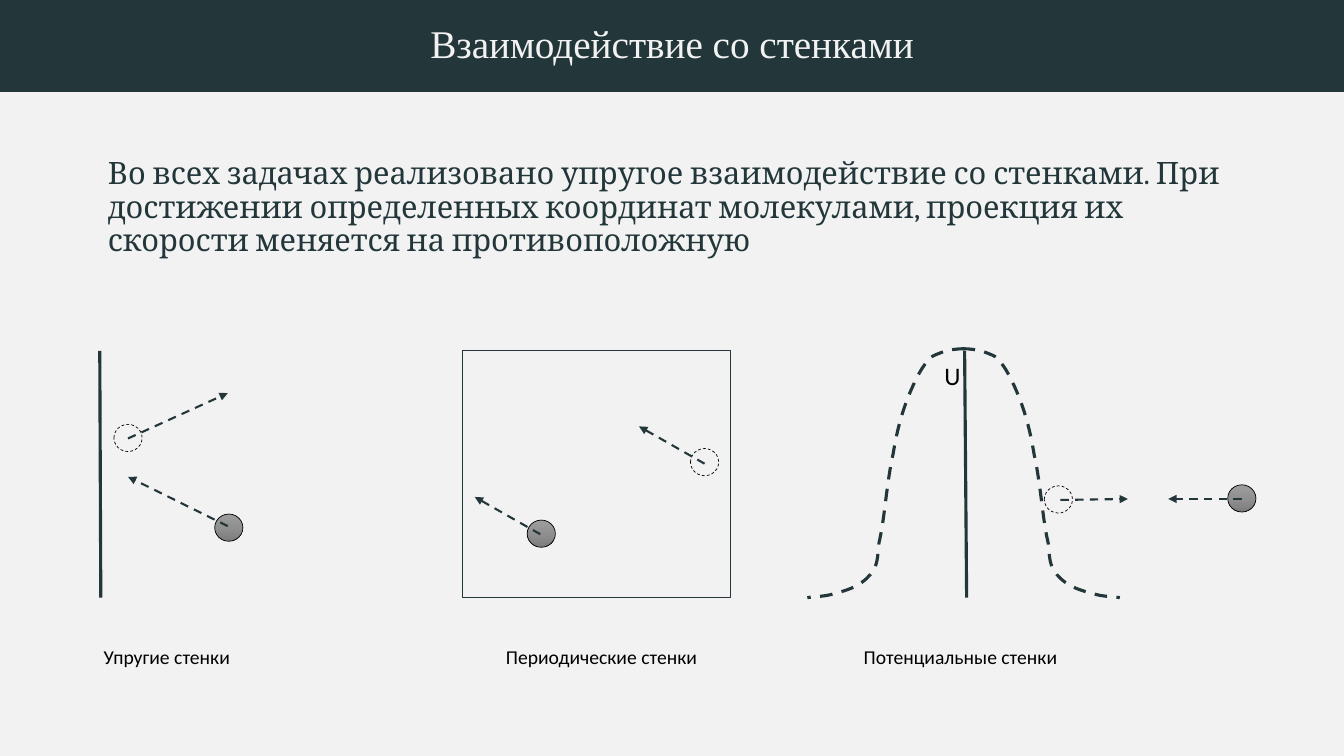
from copy import deepcopy
from dataclasses import dataclass

from lxml.etree import SubElement
from pptx import Presentation
from pptx.dml.color import RGBColor
from pptx.enum.dml import MSO_LINE_DASH_STYLE as Dash
from pptx.enum.shapes import MSO_CONNECTOR as Conn, MSO_SHAPE as Shape
from pptx.enum.text import MSO_ANCHOR as Anchor, MSO_AUTO_SIZE as AutoSize, PP_ALIGN as Align
from pptx.oxml.ns import qn
from pptx.util import Emu, Inches, Pt

PX = 9144  # EMU in one px, 100 px to the inch
SLIDE_W, SLIDE_H = Emu(12192000), Inches(7.5)


@dataclass(frozen=True)
class Theme:
    dark: str = "23373B"
    light: str = "F2F2F2"
    black: str = "000000"
    ball: tuple[str, str, str] = ("9D9D9D", "909090", "7C7C7C")
    title_font: str = "Times New Roman"
    body_font: str = "Cambria"
    label_font: str = "Calibri"
    title_size: int = 28
    body_size: int = 22
    label_size: int = 14
    axis_size: int = 18


@dataclass(frozen=True)
class Molecule:
    x: int
    y: int
    start: tuple[int, int]
    end: tuple[int, int]
    ghost: bool = False


@dataclass(frozen=True)
class Label:
    text: str
    x: int
    y: int
    w: int
    h: int
    size: int


THEME = Theme()
BALL_W, BALL_H = 28, 27

ELASTIC = [
    Molecule(213, 510, (226, 522), (127, 473)),
    Molecule(113, 421, (127, 435), (226, 390), ghost=True),
]
PERIODIC = [
    Molecule(523, 516, (536, 530), (471, 493)),
    Molecule(685, 445, (699, 460), (634, 423), ghost=True),
]
POTENTIAL = [
    Molecule(1218, 481, (1232, 495), (1159, 495)),
    Molecule(1036, 482, (1052, 496), (1119, 495), ghost=True),
]
LABELS = [
    Label("Упругие стенки", 93, 635, 349, 34, THEME.label_size),
    Label("Периодические стенки", 492, 635, 349, 34, THEME.label_size),
    Label("Потенциальные стенки", 847, 635, 349, 34, THEME.label_size),
    Label("U", 927, 353, 58, 40, THEME.axis_size),
]
# Half of the potential curve: Bezier points measured from its peak
CURVE = [
    (0, 0), (7, 0), (15, 1), (21, 3), (28, 6), (33, 6), (39, 15),
    (46, 24), (55, 44), (60, 59), (65, 74), (68, 87), (71, 105),
    (75, 122), (78, 149), (80, 164), (82, 179), (83, 184), (85, 193),
    (86, 203), (86, 212), (90, 219), (94, 226), (100, 231), (107, 235),
    (114, 239), (125, 242), (133, 244), (141, 246), (151, 246), (156, 247),
]


def px(n: int) -> Emu:
    return Emu(n * PX)


def rgb(color: str) -> RGBColor:
    return RGBColor.from_string(color)


def place(s, x: int, y: int, w: int, h: int) -> None:
    s.left, s.top, s.width, s.height = px(x), px(y), px(w), px(h)


def set_fill(s, color: str) -> None:
    s.fill.solid()
    s.fill.fore_color.rgb = rgb(color)


def set_line(s, color: str, width: float, dashed: bool = False) -> None:
    s.line.color.rgb = rgb(color)
    s.line.width = Pt(width)
    if dashed:
        s.line.dash_style = Dash.DASH


def add_text(p, text: str, font: str, size: int, color: str) -> None:
    r = p.add_run()
    r.text = text
    r.font.name, r.font.size = font, Pt(size)
    r.font.color.rgb = rgb(color)


def add_line(slide, start: tuple[int, int], end: tuple[int, int],
             width: float, arrow: bool = False) -> None:
    c = slide.shapes.add_connector(Conn.STRAIGHT, *map(px, start + end))
    set_line(c, THEME.dark, width, dashed=arrow)
    if arrow:
        SubElement(c.line._get_or_add_ln(), qn("a:tailEnd"), type="triangle")
    SubElement(c._element.spPr, qn("a:effectLst"))


def set_ball_gradient(s) -> None:
    s.fill.gradient()
    s.fill.gradient_angle = 270
    stops = s._element.spPr.find(".//" + qn("a:gsLst"))
    middle = deepcopy(stops[0])
    middle.set("pos", "50000")
    stops.insert(1, middle)
    for stop, color in zip(s.fill.gradient_stops, THEME.ball):
        stop.color.rgb = rgb(color)


def add_molecules(slide, molecules: list[Molecule]) -> None:
    for m in molecules:
        s = slide.shapes.add_shape(Shape.OVAL, px(m.x), px(m.y), px(BALL_W), px(BALL_H))
        s.shadow.inherit = False
        if m.ghost:
            set_fill(s, THEME.light)
        else:
            set_ball_gradient(s)
        set_line(s, THEME.black, 0.5, dashed=m.ghost)
        add_line(slide, m.start, m.end, 1.5, arrow=True)


def add_curve(slide, x: int, y: int, side: int) -> None:
    first, *rest = [(px(x + side * dx), px(y + dy)) for dx, dy in CURVE]
    builder = slide.shapes.build_freeform(*first)
    builder.add_line_segments(rest, close=False)
    s = builder.convert_to_shape()
    # Every three segments become one Bezier arc
    outline = s._element.spPr.find(".//" + qn("a:path"))
    segments = outline.findall(qn("a:lnTo"))
    for i in range(0, len(segments), 3):
        arc = SubElement(outline, qn("a:cubicBezTo"))
        for segment in segments[i:i + 3]:
            arc.append(segment[0])
            outline.remove(segment)
    s.shadow.inherit = False
    s.fill.background()
    set_line(s, THEME.dark, 2.25, dashed=True)


def add_label(slide, label: Label) -> None:
    s = slide.shapes.add_textbox(px(label.x), px(label.y), px(label.w), px(label.h))
    tf = s.text_frame
    tf.word_wrap = True
    tf.auto_size = AutoSize.SHAPE_TO_FIT_TEXT
    add_text(tf.paragraphs[0], label.text, THEME.label_font, label.size, THEME.black)


def fill_placeholders(slide) -> None:
    title, body = slide.placeholders
    place(title, 0, 0, 1333, 91)
    title.width = SLIDE_W
    set_fill(title, THEME.dark)
    set_line(title, THEME.dark, 0.75)
    title.text_frame.vertical_anchor = Anchor.MIDDLE
    p = title.text_frame.paragraphs[0]
    p.alignment, p.line_spacing = Align.CENTER, 0.9
    add_text(p, "Взаимодействие со стенками", THEME.title_font, THEME.title_size, THEME.light)

    place(body, 97, 152, 1142, 574)
    body.text_frame.auto_size = AutoSize.NONE
    p = body.text_frame.paragraphs[0]
    pPr = p._p.get_or_add_pPr()
    pPr.set("marL", "0")
    pPr.set("indent", "0")
    SubElement(pPr, qn("a:buNone"))
    p.line_spacing, p.space_before = 0.9, Pt(0)
    add_text(p, "Во всех задачах реализовано упругое взаимодействие со стенками. "
                "При достижении определенных координат молекулами, проекция их "
                "скорости меняется на противоположную",
             THEME.body_font, THEME.body_size, THEME.dark)


def main() -> None:
    prs = Presentation()
    prs.slide_width, prs.slide_height = SLIDE_W, SLIDE_H
    slide = prs.slides.add_slide(prs.slide_layouts[1])
    set_fill(slide.background, THEME.light)
    fill_placeholders(slide)

    # Elastic wall
    add_line(slide, (99, 348), (100, 593), 2.25)
    add_molecules(slide, ELASTIC)
    add_line(slide, (957, 348), (959, 593), 2.25)

    # Periodic cell
    cell = slide.shapes.add_shape(Shape.RECTANGLE, px(459), px(348), px(266), px(245))
    cell.shadow.inherit = False
    set_fill(cell, THEME.light)
    set_line(cell, THEME.dark, 1)
    add_molecules(slide, PERIODIC)

    # Potential barrier
    add_curve(slide, 955, 346, 1)
    add_curve(slide, 957, 346, -1)
    add_molecules(slide, POTENTIAL)

    for label in LABELS:
        add_label(slide, label)
    prs.save("out.pptx")


if __name__ == "__main__":
    main()
